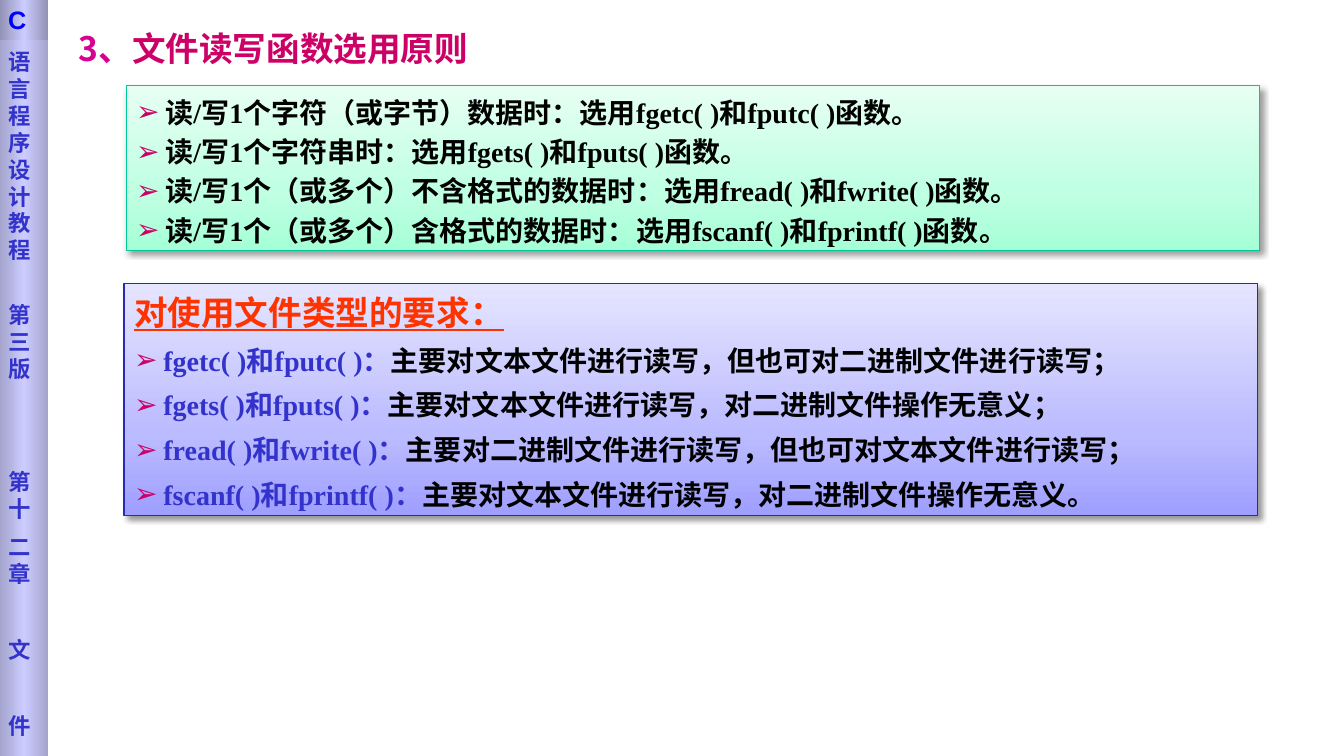
"""Build a slide on choosing C file read and write functions."""
from copy import deepcopy
from pptx import Presentation
from pptx.dml.color import RGBColor
from pptx.enum import shapes, text
from pptx.oxml import parse_xml
from pptx.oxml import ns
from pptx.util import Inches, Pt

CJK, SERIF = "Noto Sans CJK SC", "Times New Roman"
BLACK, BLUE, PINK = "000000", "3333CC", "CC0066"

TITLE = [("3、", "D60093"), ("文件读写函数选用原则", PINK)]
RULES = [
    "读/写1个字符（或字节）数据时：选用fgetc( )和fputc( )函数。",
    "读/写1个字符串时：选用fgets( )和fputs( )函数。",
    "读/写1个（或多个）不含格式的数据时：选用fread( )和fwrite( )函数。",
    "读/写1个（或多个）含格式的数据时：选用fscanf( )和fprintf( )函数。",
]
HEADING = "对使用文件类型的要求："
NEEDS = [
    ("fgetc( )和fputc( )：", "主要对文本文件进行读写，但也可对二进制文件进行读写；"),
    ("fgets( )和fputs( )：", "主要对文本文件进行读写，对二进制文件操作无意义；"),
    ("fread( )和fwrite( )：", "主要对二进制文件进行读写，但也可对文本文件进行读写；"),
    ("fscanf( )和fprintf( )：", "主要对文本文件进行读写，对二进制文件操作无意义。"),
]
SIDEBAR = [("语言程序设计教程", 0), ("第三版", 27), ("第十", 62),
           ("二章", 8), ("文", 35), ("件", 35)]

GREEN_PANEL = (("A5FFD6", 0), ("BFFFE2", 0.35), ("E7FFF3", 1))
BLUE_PANEL = (("9F9FFF", 0), ("BBBBFF", 0.35), ("E5E5FF", 1))
BAR = (("A4A4CD", 0), ("CCCCFF", 0.5), ("A4A4CD", 1))
BAR_TOP = (("9292B6", 0), ("CCCCFF", 0.5), ("9292B6", 1))


def color(hex_string):
    return RGBColor.from_string(hex_string)


def place(shape, left, top, width, height):
    shape.left, shape.top = Inches(left), Inches(top)
    shape.width, shape.height = Inches(width), Inches(height)


def add_span(para, words, size, font, hex_string):
    span = para.add_run()
    span.text = words
    span.font.size, span.font.name, span.font.bold = Pt(size), font, True
    span.font.color.rgb = color(hex_string)
    east_asian = span.font._element.makeelement(ns.qn("a:ea"), {"typeface": CJK})
    span.font._element.find(ns.qn("a:latin")).addnext(east_asian)
    return span


def add_para(frame, spacing, before=0):
    para = frame.paragraphs[0]
    if para.runs:
        para = frame.add_paragraph()
    para.alignment = text.PP_ALIGN.LEFT
    para.line_spacing = Pt(spacing)
    para.space_before = Pt(before)
    return para


def set_bullet(para, shown):
    props = para._p.get_or_add_pPr()
    indent = Inches(0.29) if shown else 0
    props.set("marL", str(indent))
    props.set("indent", str(-indent))
    kinds = ([f'<a:buClr {ns.nsdecls("a")}><a:srgbClr val="{PINK}"/></a:buClr>',
              f'<a:buChar {ns.nsdecls("a")} char="➢"/>'] if shown
             else [f'<a:buNone {ns.nsdecls("a")}/>'])
    for kind in kinds:
        props.append(parse_xml(kind))


def fill_gradient(shape, stops, angle):
    shape.fill.gradient()
    shape.fill.gradient_angle = angle
    stop_list = shape._element.spPr.find(".//" + ns.qn("a:gsLst"))
    stop_list.append(deepcopy(stop_list[0]))
    for stop, (hex_string, position) in zip(shape.fill.gradient_stops, stops):
        stop.color.rgb = color(hex_string)
        stop.position = position


def style_panel(panel, stops, line):
    fill_gradient(panel, stops, 90)
    panel.line.color.rgb = color(line)
    panel.line.width = Pt(0.75)
    panel.shadow.inherit = False
    panel._element.spPr.find(ns.qn("a:effectLst")).append(parse_xml(
        f'<a:outerShdw {ns.nsdecls("a")} blurRad="{Pt(4)}" dist="{Pt(3)}" '
        'dir="2700000" rotWithShape="0"><a:srgbClr val="000000">'
        '<a:alpha val="40000"/></a:srgbClr></a:outerShdw>'))
    set_frame(panel.text_frame)


def set_frame(frame):
    frame.word_wrap = True
    frame.auto_size = text.MSO_AUTO_SIZE.NONE
    frame.vertical_anchor = text.MSO_ANCHOR.MIDDLE


def add_bar(page, height, stops):
    bar = page.shapes.add_shape(shapes.MSO_SHAPE.RECTANGLE, 0, 0,
                                Inches(0.48), Inches(height))
    fill_gradient(bar, stops, 0)
    bar.line.fill.background()
    bar.shadow.inherit = False
    frame = bar.text_frame
    set_frame(frame)
    frame.margin_left, frame.margin_right = Inches(0.08), Inches(0.05)
    frame.margin_top = frame.margin_bottom = 0
    return frame


def main():
    deck = Presentation()
    deck.slide_width, deck.slide_height = Inches(13.33), Inches(7.5)
    page = deck.slides.add_slide(deck.slide_layouts.get_by_name("Two Content"))
    title, rules, needs = page.placeholders

    place(title, 0.68, 0.23, 4.26, 0.5)
    set_frame(title.text_frame)
    para = title.text_frame.paragraphs[0]
    para.alignment = text.PP_ALIGN.LEFT
    for words, hex_string in TITLE:
        add_span(para, words, 24, CJK, hex_string)

    place(rules, 1.25, 0.85, 11.24, 1.64)
    style_panel(rules, GREEN_PANEL, "00C896")
    for rule in RULES:
        para = add_para(rules.text_frame, 28)
        set_bullet(para, True)
        add_span(para, rule, 20, SERIF, BLACK)

    place(needs, 1.23, 2.81, 11.24, 2.3)
    style_panel(needs, BLUE_PANEL, "2929B8")
    para = add_para(needs.text_frame, 32)
    set_bullet(para, False)
    add_span(para, HEADING, 24, CJK, "FF3300").font.underline = True
    for functions, need in NEEDS:
        para = add_para(needs.text_frame, 32)
        set_bullet(para, True)
        add_span(para, functions, 20, SERIF, BLUE)
        add_span(para, need, 20, SERIF, BLACK)

    frame = add_bar(page, 7.5, BAR)
    frame.vertical_anchor = text.MSO_ANCHOR.TOP
    frame.margin_top = Inches(0.48)
    for words, before in SIDEBAR:
        add_span(add_para(frame, 19.2, before), words, 16, "DejaVu Sans", BLUE)

    frame = add_bar(page, 0.4, BAR_TOP)
    add_span(add_para(frame, 21), "C", 18, "Arial", "0000FF")

    deck.save("out.pptx")


if __name__ == "__main__":
    main()
